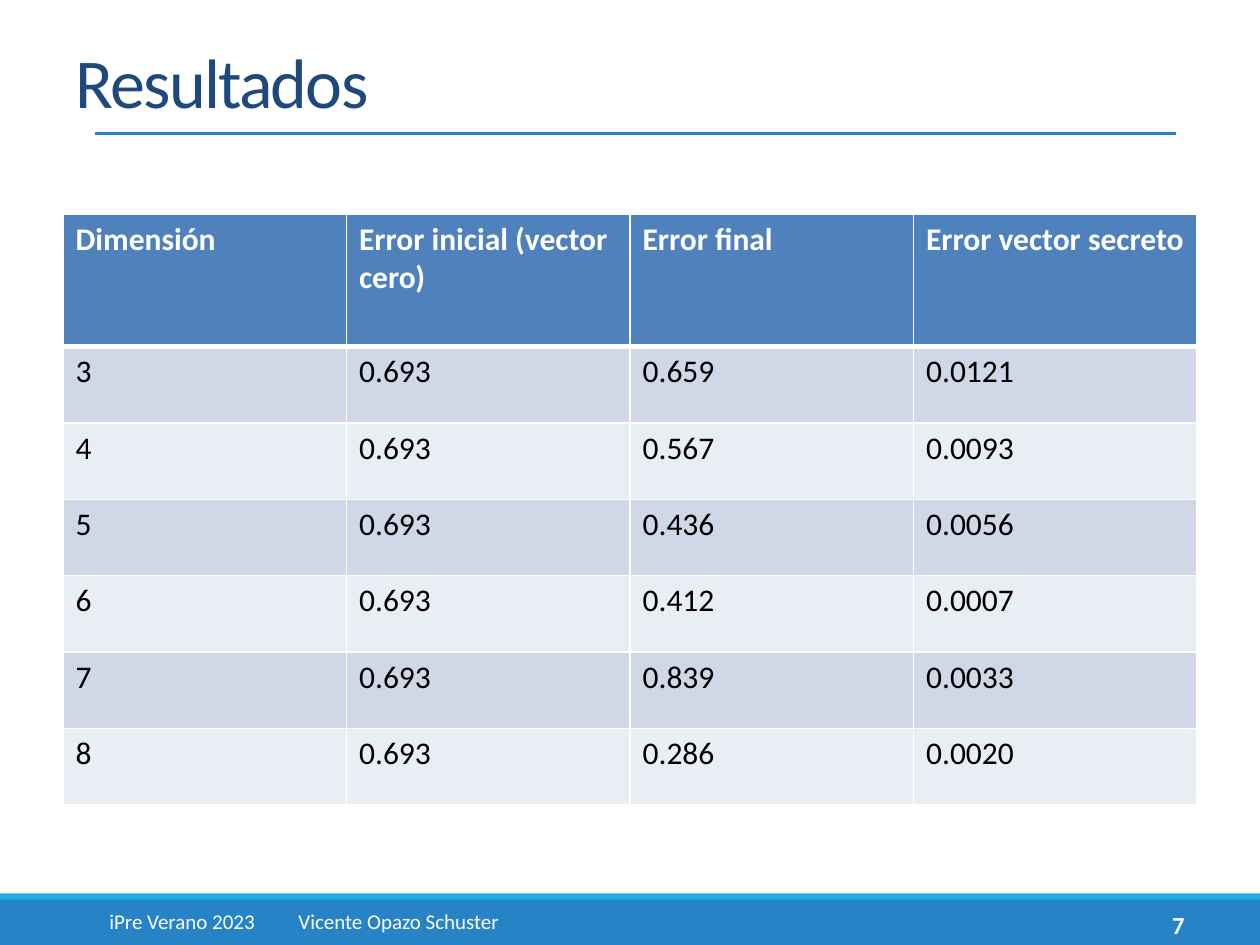
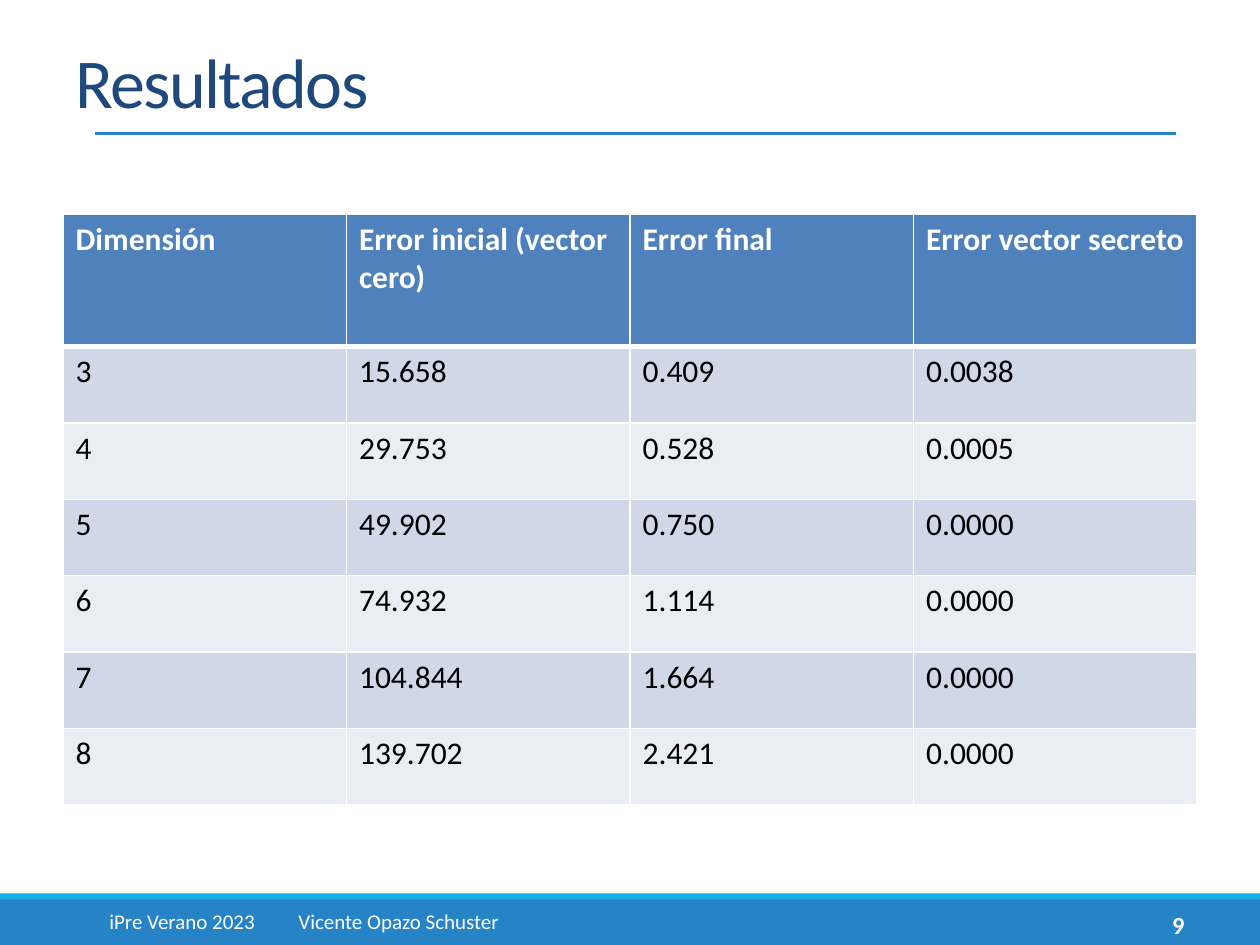
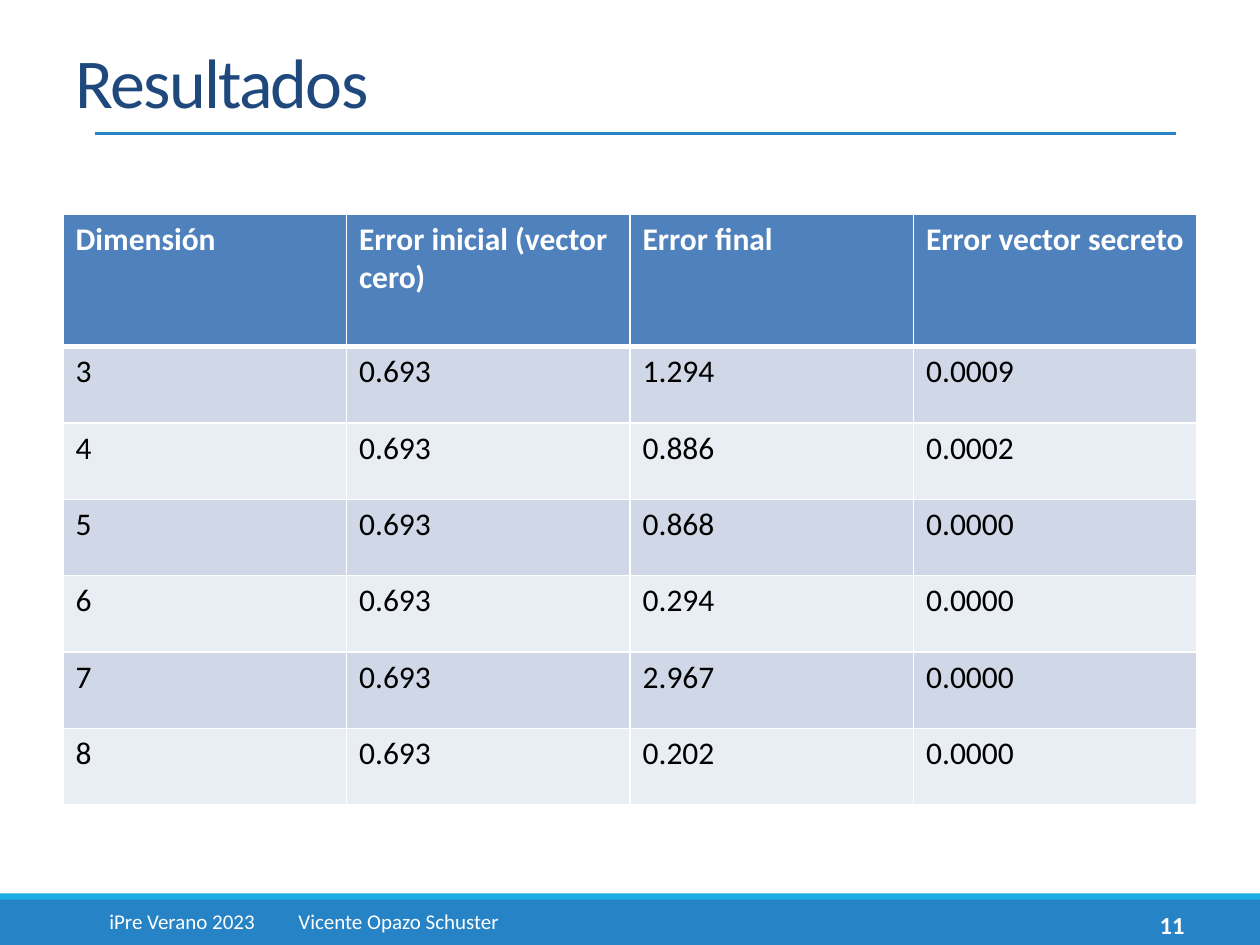
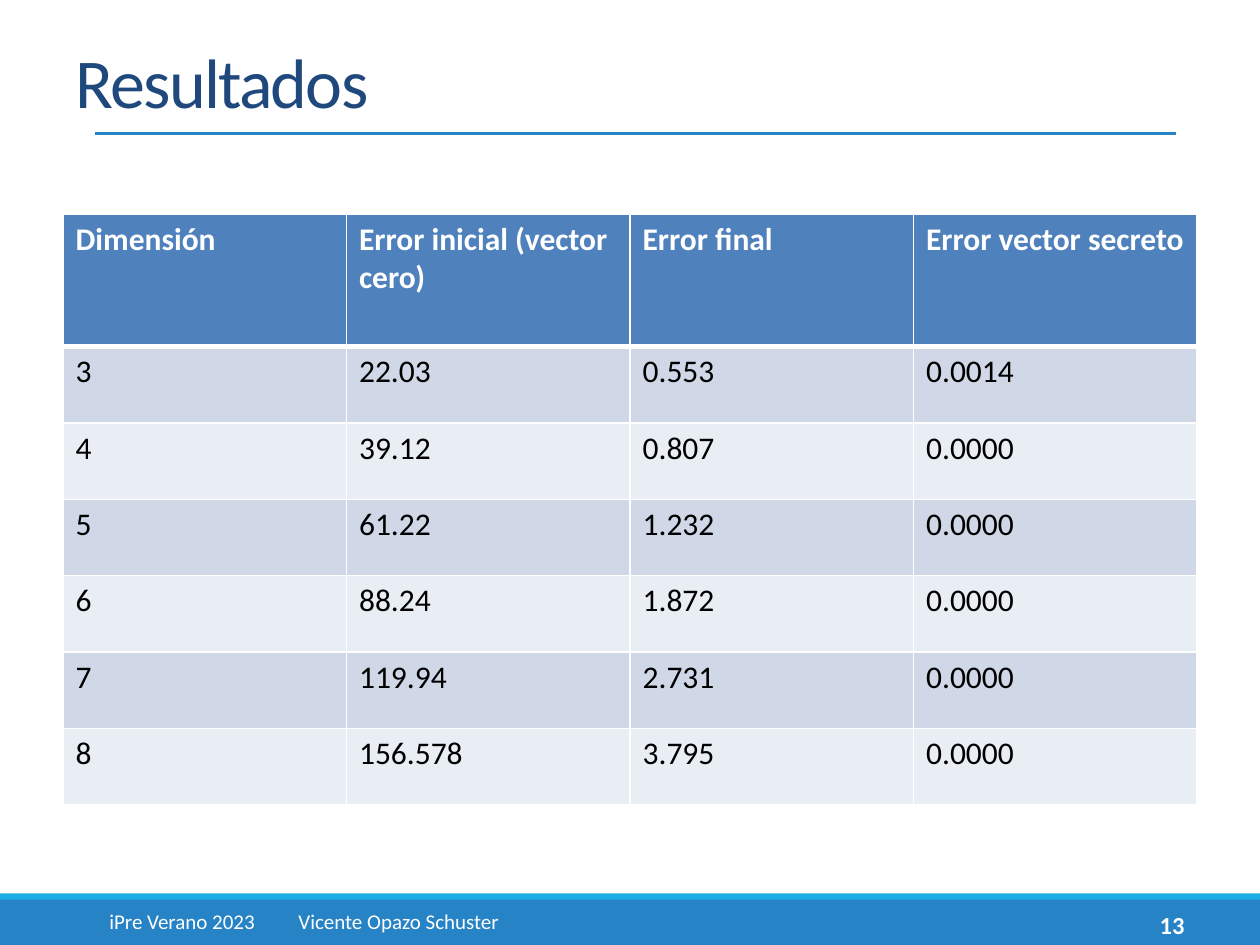
from lxml.etree import SubElement as Sub
from pptx import Presentation
from pptx.dml.color import RGBColor as RGB
from pptx.enum.shapes import MSO_CONNECTOR as Conn, MSO_SHAPE as Form
from pptx.enum.text import MSO_ANCHOR as Anchor, PP_ALIGN as Align
from pptx.oxml.ns import qn
from pptx.util import Inches, Pt

WHITE, BLACK, NAVY = "FFFFFF", "000000", "1F497D"
BLUE, CYAN = "2683C6", "1CADE4"
HEAD, ODD, EVEN = "4F81BD", "D0D8E8", "E9EDF4"

BASE = {"name": "Calibri", "bold": False}
TITLE = {**BASE, "size": Pt(40)}
FOOT = {**BASE, "size": Pt(12)}
PAGE = {**BASE, "size": Pt(14), "bold": True}
BODY = {**BASE, "size": Pt(18)}
TOP = {**BODY, "bold": True}

NAMES = ["Dimensión", "Error inicial (vector cero)", "Error final", "Error vector secreto"]
DIMS = ["3", "4", "5", "6", "7", "8"]
SAME = ["0.693"] * len(DIMS)
ZERO = "0.0000"
PAGES = {
    7: [SAME,
        ["0.659", "0.567", "0.436", "0.412", "0.839", "0.286"],
        ["0.0121", "0.0093", "0.0056", "0.0007", "0.0033", "0.0020"]],
    9: [["15.658", "29.753", "49.902", "74.932", "104.844", "139.702"],
        ["0.409", "0.528", "0.750", "1.114", "1.664", "2.421"],
        ["0.0038", "0.0005"] + [ZERO] * 4],
    11: [SAME,
         ["1.294", "0.886", "0.868", "0.294", "2.967", "0.202"],
         ["0.0009", "0.0002"] + [ZERO] * 4],
    13: [["22.03", "39.12", "61.22", "88.24", "119.94", "156.578"],
         ["0.553", "0.807", "1.232", "1.872", "2.731", "3.795"],
         ["0.0014"] + [ZERO] * 5],
}
BANDS = [(7.12, 0.4, BLUE), (7.09, 0.05, CYAN)]
HIGH, WIDE, CAP = 4.69, 9, 1.05


def tint(part, code):
    part.rgb = RGB.from_string(code)


def write(frame, text, look, code, align=Align.LEFT):
    para = frame.paragraphs[0]
    para.alignment = align
    run = para.add_run()
    run.text = text
    for key, val in look.items():
        setattr(run.font, key, val)
    tint(run.font.color, code)
    return run


deck = Presentation()
deck.slide_width, deck.slide_height = Inches(10), Inches(7.5)

for num, data in PAGES.items():
    slide = deck.slides.add_slide(deck.slide_layouts[6])
    shapes = slide.shapes

    for top, high, code in BANDS:
        band = shapes.add_shape(Form.RECTANGLE, 0, Inches(top), deck.slide_width, Inches(high))
        band.shadow.inherit = False
        band.fill.solid()
        tint(band.fill.fore_color, code)
        band.line.fill.background()

    rule = shapes.add_connector(Conn.STRAIGHT, Inches(0.75), Inches(1.06), Inches(9.33), Inches(1.06))
    rule.line.width = Pt(1.5)
    tint(rule.line.color, BLUE)
    Sub(rule._element.spPr, qn("a:effectLst"))

    texts = [
        ((-0.05, 7.13, 4.93, 0.36), "iPre Verano 2023\tVicente Opazo Schuster", FOOT, WHITE, Align.CENTER),
        ((0.5, 0.1, 9, 1.08), "Resultados", TITLE, NAVY, Align.LEFT),
        ((8.33, 7.16, 1.17, 0.36), str(num), PAGE, WHITE, Align.RIGHT),
    ]
    for spot, text, look, code, align in texts:
        frame = shapes.add_textbox(*map(Inches, spot)).text_frame
        frame.word_wrap = True
        frame.vertical_anchor = Anchor.MIDDLE
        run = write(frame, text, look, code, align)
        if look is TITLE:
            run.font._element.set("spc", "-100")

    rows = [NAMES, *zip(DIMS, *data)]
    grid = shapes.add_table(len(rows), len(NAMES), Inches(0.5), Inches(1.7), Inches(WIDE), Inches(HIGH)).table
    for col in grid.columns:
        col.width = Inches(WIDE / len(NAMES))
    for r, row in enumerate(rows):
        grid.rows[r].height = Inches((HIGH - CAP) / len(DIMS) if r else CAP)
        fill, look, code = (ODD if r % 2 else EVEN, BODY, BLACK) if r else (HEAD, TOP, WHITE)
        edges = {"lnL": 1, "lnR": 1, "lnT": 3 if r == 1 else 1, "lnB": 1 if r else 3}
        for c, text in enumerate(row):
            cell = grid.cell(r, c)
            write(cell.text_frame, text, look, code)
            props = cell._tc.get_or_add_tcPr()
            for tag, size in edges.items():
                edge = Sub(props, qn("a:" + tag), w=str(Pt(size)))
                Sub(Sub(edge, qn("a:solidFill")), qn("a:srgbClr"), val=WHITE)
            cell.fill.solid()
            tint(cell.fill.fore_color, fill)

deck.save("out.pptx")
